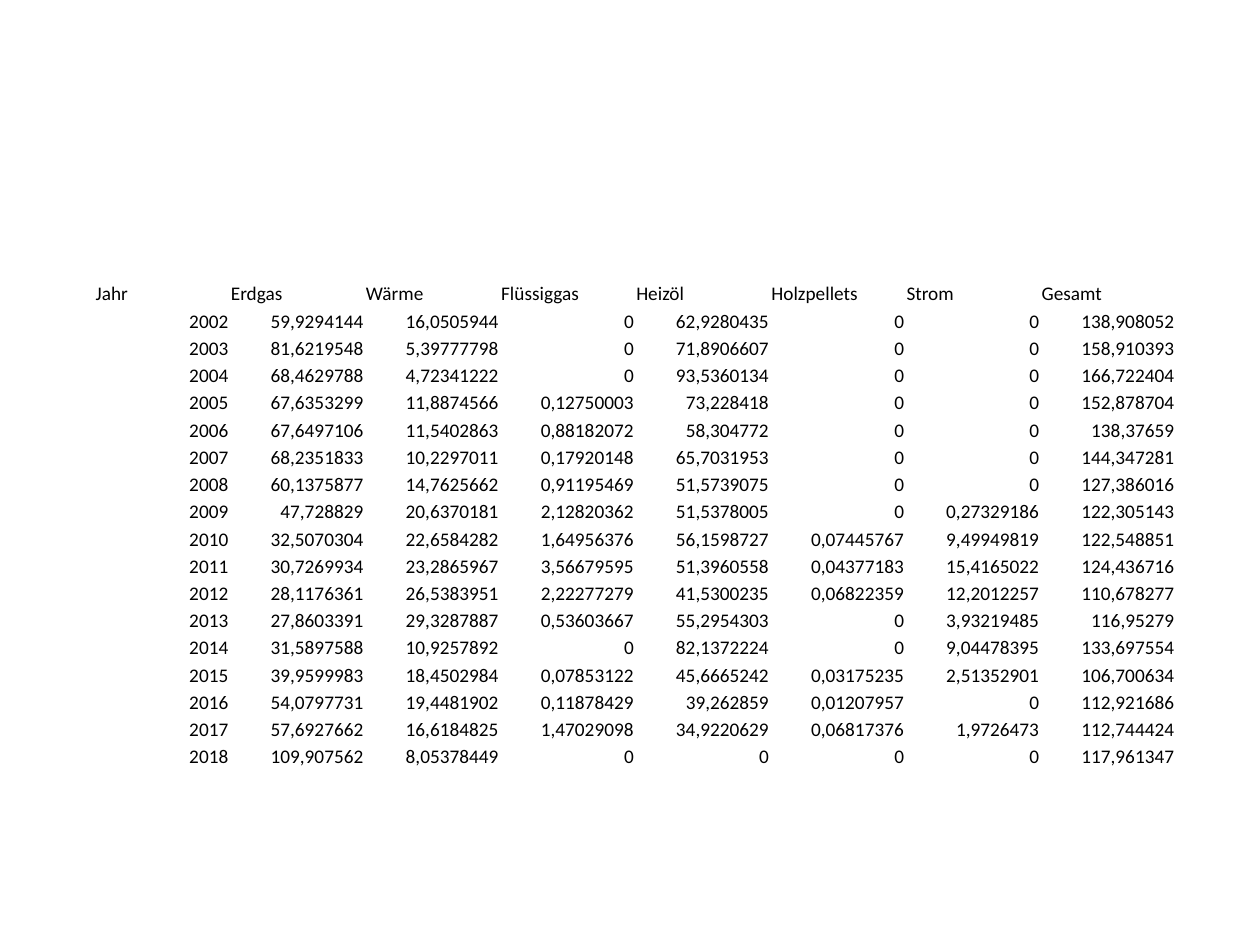
from dataclasses import dataclass

from pptx import Presentation
from pptx.dml.color import RGBColor
from pptx.enum import text
from pptx.util import Inches, Pt


@dataclass(frozen=True)
class Theme:
    font: str = "Calibri"
    size: int = 11
    ink: str = "000000"
    inset: float = 0.01


THEME = Theme()

HEADERS = ["Jahr", "Erdgas", "Wärme", "Flüssiggas", "Heizöl",
           "Holzpellets", "Strom", "Gesamt"]

# One line per year, in the order of the headers
CONSUMPTION = [
    "2002 59,9294144 16,0505944 0 62,9280435 0 0 138,908052",
    "2003 81,6219548 5,39777798 0 71,8906607 0 0 158,910393",
    "2004 68,4629788 4,72341222 0 93,5360134 0 0 166,722404",
    "2005 67,6353299 11,8874566 0,12750003 73,228418 0 0 152,878704",
    "2006 67,6497106 11,5402863 0,88182072 58,304772 0 0 138,37659",
    "2007 68,2351833 10,2297011 0,17920148 65,7031953 0 0 144,347281",
    "2008 60,1375877 14,7625662 0,91195469 51,5739075 0 0 127,386016",
    "2009 47,728829 20,6370181 2,12820362 51,5378005 0 0,27329186 122,305143",
    "2010 32,5070304 22,6584282 1,64956376 56,1598727 0,07445767 9,49949819 122,548851",
    "2011 30,7269934 23,2865967 3,56679595 51,3960558 0,04377183 15,4165022 124,436716",
    "2012 28,1176361 26,5383951 2,22277279 41,5300235 0,06822359 12,2012257 110,678277",
    "2013 27,8603391 29,3287887 0,53603667 55,2954303 0 3,93219485 116,95279",
    "2014 31,5897588 10,9257892 0 82,1372224 0 9,04478395 133,697554",
    "2015 39,9599983 18,4502984 0,07853122 45,6665242 0,03175235 2,51352901 106,700634",
    "2016 54,0797731 19,4481902 0,11878429 39,262859 0,01207957 0 112,921686",
    "2017 57,6927662 16,6184825 1,47029098 34,9220629 0,06817376 1,9726473 112,744424",
    "2018 109,907562 8,05378449 0 0 0 0 117,961347",
]


def fill_cell(cell, value, align):
    cell.fill.background()
    cell.vertical_anchor = text.MSO_ANCHOR.BOTTOM
    cell.margin_left = cell.margin_right = cell.margin_top = Inches(THEME.inset)
    cell.margin_bottom = 0
    p = cell.text_frame.paragraphs[0]
    p.text = value
    p.alignment = align
    font = p.runs[0].font
    font.name, font.size = THEME.font, Pt(THEME.size)
    font.color.rgb = RGBColor.from_string(THEME.ink)


def add_consumption_table(s, left, top, width, height, header_height):
    rows = [HEADERS] + [line.split() for line in CONSUMPTION]
    tbl = s.shapes.add_table(len(rows), len(HEADERS), Inches(left), Inches(top),
                             Inches(width), Inches(height)).table
    tbl.first_row = tbl.horz_banding = False

    # Equal columns; year rows share the height below the header
    for col in tbl.columns:
        col.width = Inches(width / len(HEADERS))
    for row in tbl.rows:
        row.height = Inches((height - header_height) / (len(rows) - 1))
    tbl.rows[0].height = Inches(header_height)

    # Headers to the left, figures to the right
    for i, values in enumerate(rows):
        align = text.PP_ALIGN.RIGHT if i else text.PP_ALIGN.LEFT
        for j, value in enumerate(values):
            fill_cell(tbl.cell(i, j), value, align)


prs = Presentation()
prs.slide_width, prs.slide_height = Inches(10), Inches(7.5)
s = prs.slides.add_slide(prs.slide_layouts[6])
add_consumption_table(s, left=0.75, top=2.02, width=8.58, height=4.09,
                      header_height=0.41)
prs.save("out.pptx")
